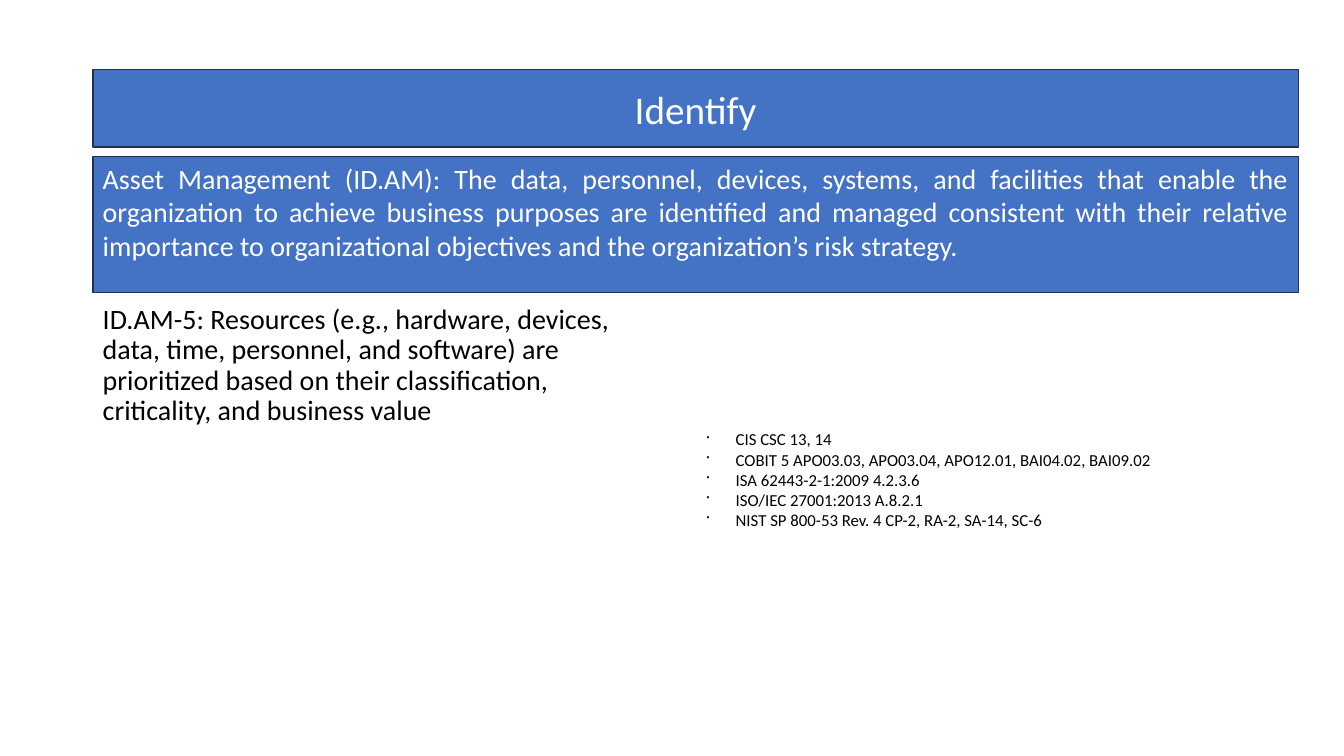
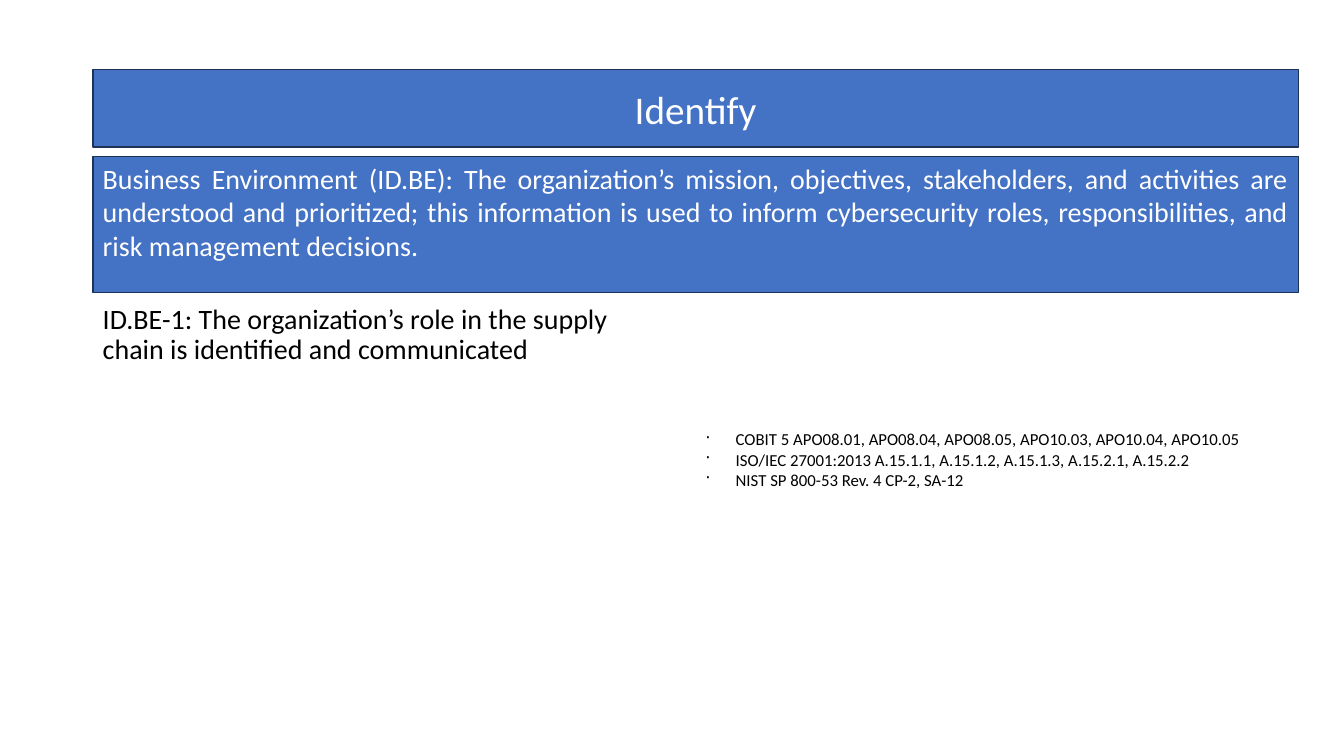
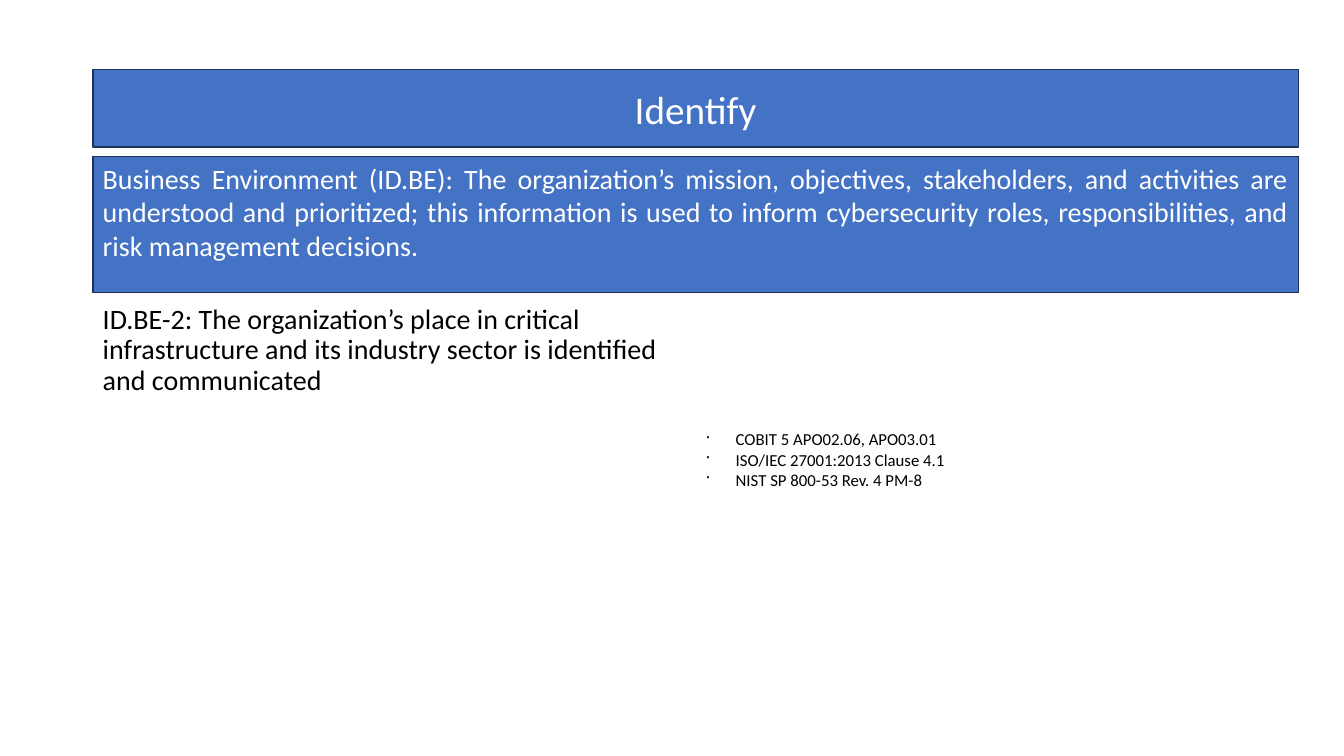
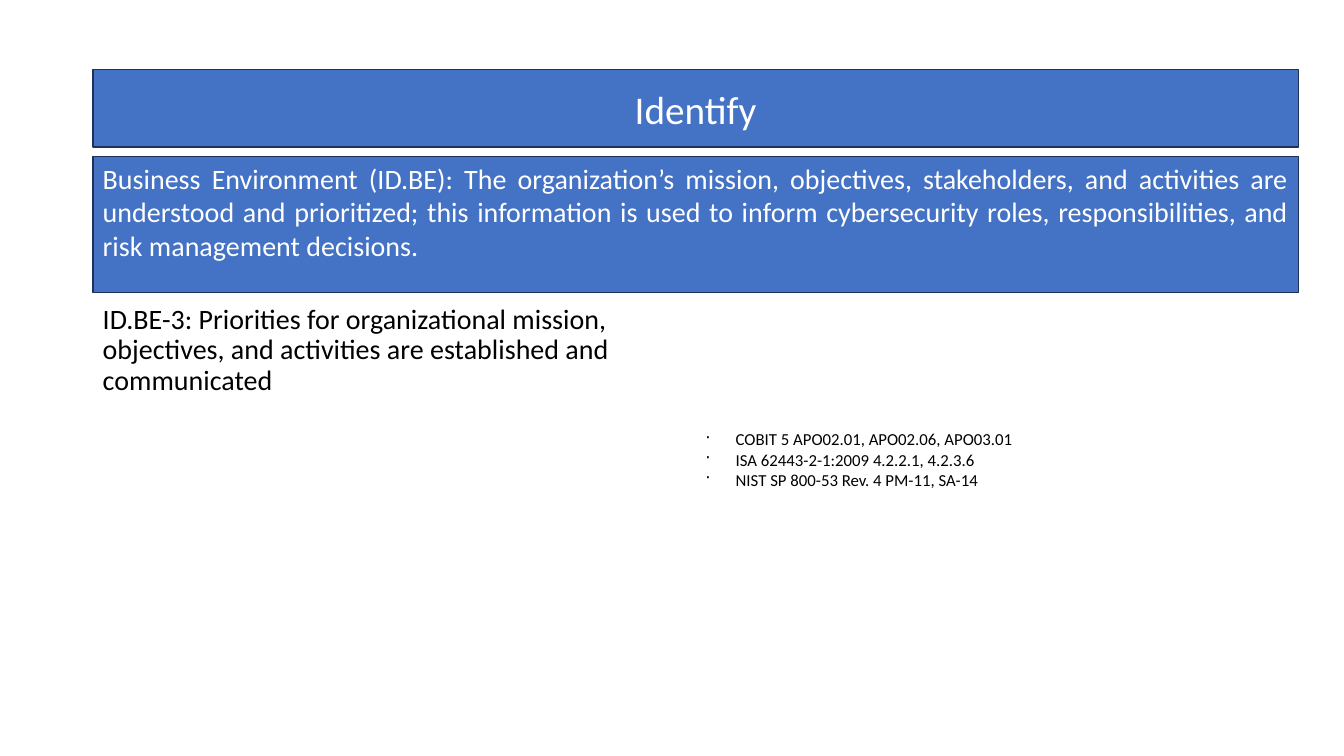
import pptx
import pptx.dml.color
import pptx.enum.shapes
import pptx.enum.text
import pptx.oxml
import pptx.oxml.ns
import pptx.util

Cm, Pt = pptx.util.Cm, pptx.util.Pt
ALIGN = pptx.enum.text.PP_ALIGN
ANCHOR = pptx.enum.text.MSO_ANCHOR

FONT = "Calibri"
BLUE, NAVY, WHITE, BLACK = "4472C4", "1E3256", "FFFFFF", "000000"

TITLE = "Identify"
ASSETS = (
    "Asset Management (ID.AM): The data, personnel, devices, systems, and facilities "
    "that enable the organization to achieve business purposes are identified and managed "
    "consistent with their relative importance to organizational objectives and the "
    "organization’s risk strategy."
)
BUSINESS = (
    "Business Environment (ID.BE): The organization’s mission, objectives, stakeholders, "
    "and activities are understood and prioritized; this information is used to inform "
    "cybersecurity roles, responsibilities, and risk management decisions."
)
SLIDES = [
    (
        ASSETS,
        "ID.AM-5: Resources (e.g., hardware, devices, data, time, personnel, and software) "
        "are prioritized based on their classification, criticality, and business value",
        [
            "CIS CSC 13, 14",
            "COBIT 5 APO03.03, APO03.04, APO12.01, BAI04.02, BAI09.02",
            "ISA 62443-2-1:2009 4.2.3.6",
            "ISO/IEC 27001:2013 A.8.2.1",
            "NIST SP 800-53 Rev. 4 CP-2, RA-2, SA-14, SC-6",
        ],
    ),
    (
        BUSINESS,
        "ID.BE-1: The organization’s role in the supply chain is identified and communicated",
        [
            "COBIT 5 APO08.01, APO08.04, APO08.05, APO10.03, APO10.04, APO10.05",
            "ISO/IEC 27001:2013 A.15.1.1, A.15.1.2, A.15.1.3, A.15.2.1, A.15.2.2",
            "NIST SP 800-53 Rev. 4 CP-2, SA-12",
        ],
    ),
    (
        BUSINESS,
        "ID.BE-2: The organization’s place in critical infrastructure and its industry "
        "sector is identified and communicated",
        [
            "COBIT 5 APO02.06, APO03.01",
            "ISO/IEC 27001:2013 Clause 4.1",
            "NIST SP 800-53 Rev. 4 PM-8",
        ],
    ),
    (
        BUSINESS,
        "ID.BE-3: Priorities for organizational mission, objectives, and activities are "
        "established and communicated",
        [
            "COBIT 5 APO02.01, APO02.06, APO03.01",
            "ISA 62443-2-1:2009 4.2.2.1, 4.2.3.6",
            "NIST SP 800-53 Rev. 4 PM-11, SA-14",
        ],
    ),
]

LEFT, WIDTH = Cm(2.34), Cm(30.38)
REF_WIDTH = Cm(15.19)
TITLE_BOX = LEFT, Cm(1.75), WIDTH, Cm(1.96)
CATEGORY_BOX = LEFT, Cm(3.94), WIDTH, Cm(3.43)
CONTROL_BOX = LEFT, Cm(7.57), Cm(14.6), Cm(10.67)
REFERENCE_BOX = LEFT + WIDTH - REF_WIDTH, Cm(10.69), REF_WIDTH, Cm(1.96)


def rgb(value):
    return pptx.dml.color.RGBColor.from_string(value)


def write(sp, text, size, color, align=ALIGN.LEFT, anchor=ANCHOR.TOP, spacing=1.0):
    tf = sp.text_frame
    tf.text = text
    tf.word_wrap = True
    tf.auto_size = pptx.enum.text.MSO_AUTO_SIZE.NONE
    tf.vertical_anchor = anchor
    for p in tf.paragraphs:
        p.alignment = align
        p.line_spacing = spacing
        for r in p.runs:
            r.font.name = FONT
            r.font.size = Pt(size)
            r.font.color.rgb = rgb(color)


def paint_band(sp):
    sp.fill.solid()
    sp.fill.fore_color.rgb = rgb(BLUE)
    sp.line.color.rgb = rgb(NAVY)
    sp.line.width = Pt(1)


def add_bullets(sp, indent):
    for p in sp.text_frame.paragraphs:
        pPr = p._p.get_or_add_pPr()
        pPr.set("marL", str(indent))
        pPr.set("indent", str(-indent))
        bullet = pptx.oxml.parse_xml(
            f'<a:buChar {pptx.oxml.ns.nsdecls("a")} char="·"/>')
        pPr.append(bullet)


def add_slide(prs, category, control, references):
    s = prs.slides.add_slide(prs.slide_layouts[5])

    title = s.shapes.title
    title.left, title.top, title.width, title.height = TITLE_BOX
    paint_band(title)
    write(title, TITLE, 28, WHITE, ALIGN.CENTER, ANCHOR.MIDDLE)

    band = s.shapes.add_shape(pptx.enum.shapes.MSO_SHAPE.RECTANGLE, *CATEGORY_BOX)
    band.shadow.inherit = False
    paint_band(band)
    write(band, category, 20, WHITE, ALIGN.JUSTIFY)

    write(s.shapes.add_textbox(*CONTROL_BOX), control, 20, BLACK, spacing=0.9)

    refs = s.shapes.add_textbox(*REFERENCE_BOX)
    write(refs, "\n".join(references), 12, BLACK)
    add_bullets(refs, Cm(0.76))


def main():
    prs = pptx.Presentation()
    prs.slide_width, prs.slide_height = Cm(33.87), Cm(19.05)
    for content in SLIDES:
        add_slide(prs, *content)
    prs.save("out.pptx")


if __name__ == "__main__":
    main()
